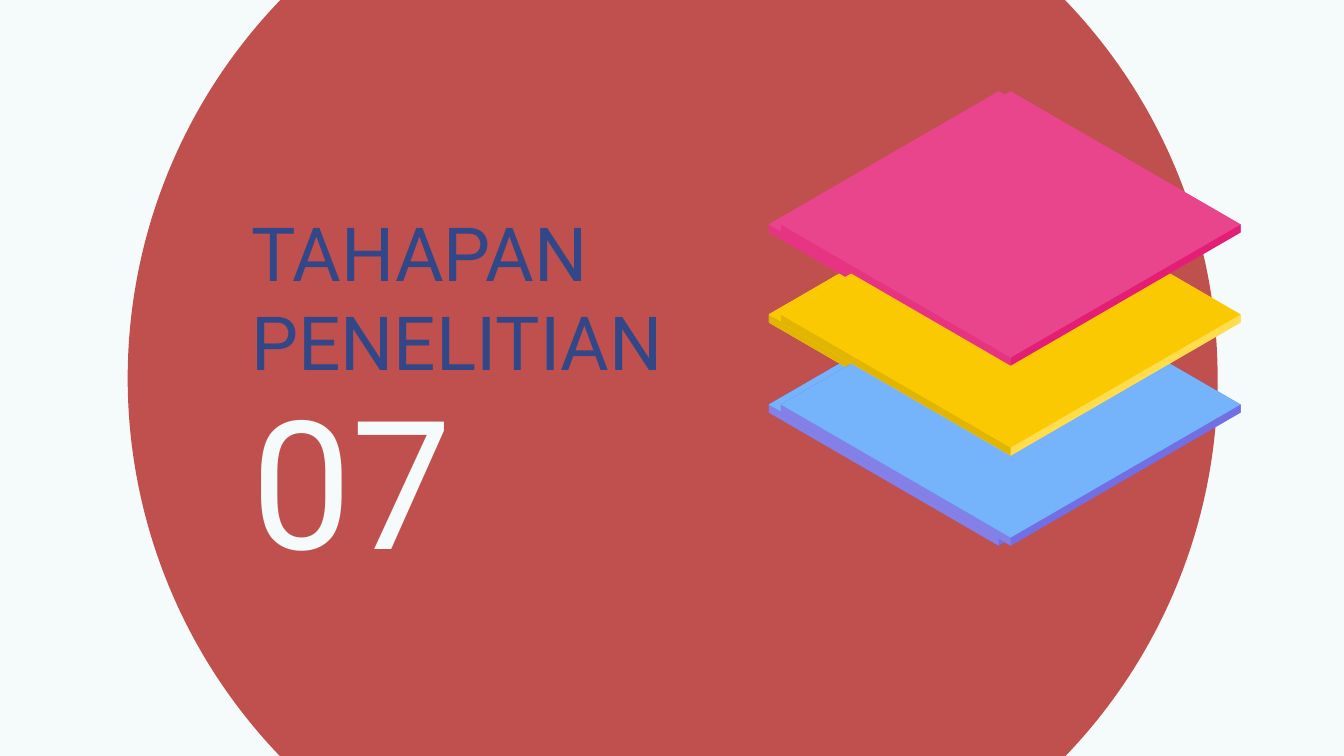
from pptx import Presentation
from pptx.dml.color import RGBColor
from pptx.enum.shapes import MSO_SHAPE
from pptx.enum.text import MSO_ANCHOR
from pptx.util import Inches, Pt

OVAL = MSO_SHAPE.OVAL
BOTTOM, MIDDLE = MSO_ANCHOR.BOTTOM, MSO_ANCHOR.MIDDLE

PALE = RGBColor(0xF5, 0xFB, 0xFB)
BRICK = RGBColor(0xC0, 0x50, 0x4D)
NAVY = RGBColor(0x32, 0x47, 0x88)
VIOLET = RGBColor(0x71, 0x6F, 0xE3)
LILAC = RGBColor(0x83, 0x81, 0xE7)
SKY = RGBColor(0x75, 0xB4, 0xFA)
LEMON = RGBColor(0xFF, 0xDD, 0x4D)
MUSTARD = RGBColor(0xE2, 0xB5, 0x01)
YELLOW = RGBColor(0xFB, 0xC9, 0x01)
PINK = RGBColor(0xE9, 0x45, 0x8D)
MAGENTA = RGBColor(0xE3, 0x1E, 0x74)
ROSE = RGBColor(0xE6, 0x34, 0x82)

SLIDE_WIDTH = 10
SLIDE_HEIGHT = SLIDE_WIDTH * 9 / 16
CIRCLE_BOX = (0.95, -1.24, 8.11, 8.11)
TITLE_BOX = (1.77, 2.47, 4.04, 0.5)
NUMBER_BOX = (1.77, 3.24, 2.45, 0.63)
STACK_BOXES = [(left, 0.68, 3.42, 3.38) for left in (5.72, 5.81)]
TILE_HEIGHT, TILE_EDGE = 2.04, 0.06
TILES = [
    (VIOLET, VIOLET, LILAC, SKY),
    (LEMON, LEMON, MUSTARD, YELLOW),
    (PINK, MAGENTA, ROSE, PINK),
]
TITLE_FORMAT = {"name": "Roboto", "size": Pt(40)}
NUMBER_FORMAT = {"name": "Roboto", "size": Pt(96)}


def paint(shape, color):
    """Give a shape a plain fill without line or shadow."""
    shape.shadow.inherit = False
    shape.fill.solid()
    shape.fill.fore_color.rgb = color
    shape.line.fill.background()


def add_circle(slide, box, color):
    """Place the backdrop circle in its box."""
    paint(slide.shapes.add_shape(OVAL, *map(Inches, box)), color)


def add_label(slide, box, text, anchor, color, font_format):
    """Place wrapped text in its box."""
    frame = slide.shapes.add_textbox(*map(Inches, box)).text_frame
    frame_format = {"word_wrap": True, "vertical_anchor": anchor}
    for side in ("left", "top", "right", "bottom"):
        frame_format[f"margin_{side}"] = Inches(0.1)
    for name, value in frame_format.items():
        setattr(frame, name, value)
    run = frame.paragraphs[0].add_run()
    run.text = text
    for name, value in font_format.items():
        setattr(run.font, name, value)
    run.font.color.rgb = color


def add_polygon(slide, points, color):
    """Draw a closed outline through points given in inches."""
    start, *others = [(Inches(x), Inches(y)) for x, y in points]
    builder = slide.shapes.build_freeform(*start)
    builder.add_line_segments(others, close=True)
    shape = builder.convert_to_shape()
    paint(shape, color)
    return shape


def add_tile(slide, box, colors):
    """Draw the body, right edge, left edge and top of one tile."""
    left, top, width, height = box
    right, bottom = left + width, top + height
    center = left + width / 2
    side = top + (height - TILE_EDGE) / 2
    back, front = (center, top), (center, bottom - TILE_EDGE)
    west, east = (left, side), (right, side)
    low_west, low_east = (left, side + TILE_EDGE), (right, side + TILE_EDGE)
    low_front = (center, bottom)
    faces = [
        (back, west, low_west, low_front, low_east, east),
        (east, front, low_front, low_east),
        (west, low_west, low_front, front),
        (back, west, front, east),
    ]
    return [add_polygon(slide, face, color) for face, color in zip(faces, colors)]


def add_stack(slide, box):
    """Group tiles at equal steps, from the bottom of the box to its top."""
    left, top, width, height = box
    lowest = top + height - TILE_HEIGHT
    step = (lowest - top) / (len(TILES) - 1)
    shapes = []
    for level, colors in enumerate(TILES):
        tile_box = (left, lowest - level * step, width, TILE_HEIGHT)
        shapes += add_tile(slide, tile_box, colors)
    slide.shapes.add_group_shape(shapes)


def build_section_slide(presentation):
    """Build the section slide with its heading, number and tile stacks."""
    slide = presentation.slides.add_slide(presentation.slide_layouts[6])
    slide.background.fill.solid()
    slide.background.fill.fore_color.rgb = PALE
    add_circle(slide, CIRCLE_BOX, BRICK)
    add_label(slide, TITLE_BOX, "TAHAPAN PENELITIAN", BOTTOM, NAVY, TITLE_FORMAT)
    add_label(slide, NUMBER_BOX, "07", MIDDLE, PALE, NUMBER_FORMAT)
    for box in STACK_BOXES:
        add_stack(slide, box)


def main():
    """Create the presentation and save it."""
    presentation = Presentation()
    presentation.slide_width = Inches(SLIDE_WIDTH)
    presentation.slide_height = Inches(SLIDE_HEIGHT)
    build_section_slide(presentation)
    presentation.save("out.pptx")


if __name__ == "__main__":
    main()
